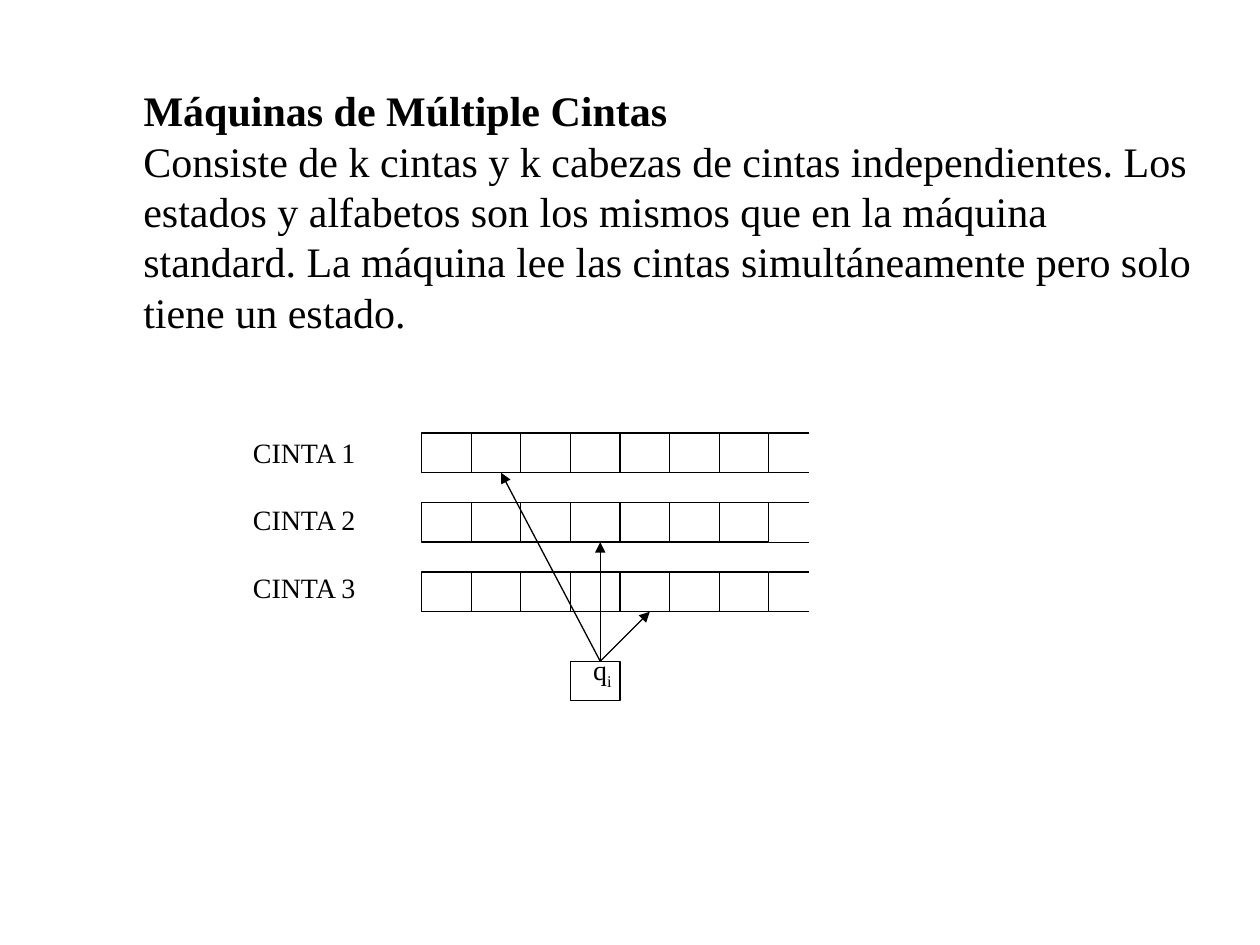
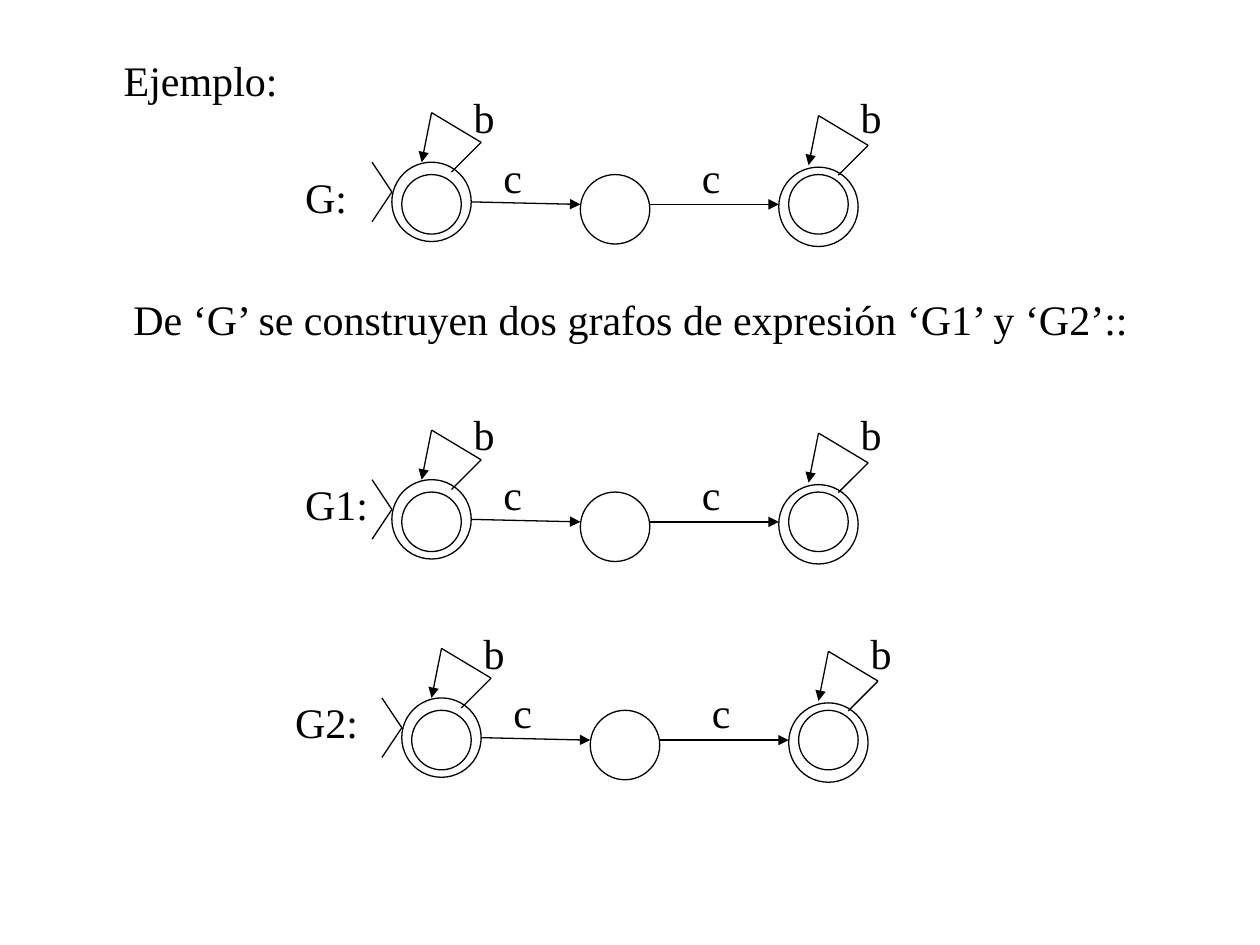
from itertools import pairwise
from lxml import etree
from pptx import Presentation
from pptx.dml.color import RGBColor
from pptx.enum.shapes import MSO_CONNECTOR, MSO_SHAPE
from pptx.enum.text import MSO_ANCHOR, MSO_AUTO_SIZE, PP_ALIGN
from pptx.oxml.ns import qn
from pptx.util import Cm, Pt

RECT, OVAL = MSO_SHAPE.RECTANGLE, MSO_SHAPE.OVAL
LINE = MSO_CONNECTOR.STRAIGHT
TOP, LEFT = MSO_ANCHOR.TOP, PP_ALIGN.LEFT
FIXED, GROW = MSO_AUTO_SIZE.NONE, MSO_AUTO_SIZE.SHAPE_TO_FIT_TEXT

COLORS = {"ink": "000000", "paper": "FFFFFF"}
FONT = "Times New Roman"
BIG, SMALL = 24, 16
LEAD = 1.2  # line height over text size

# Content; all lengths are in cm
HEAD = "Máquinas de Múltiple Cintas"
BODY = ("Consiste de k cintas y k cabezas de cintas independientes. Los "
        "estados y alfabetos son los mismos que en la máquina standard. "
        "La máquina lee las cintas simultáneamente pero solo tiene un estado.")
TAPES = [("CINTA 1", 10.1), ("CINTA 2", 12.1), ("CINTA 3", 13.1)]  # name, head x
CELLS, CELL_W, CELL_H = 7, 1.0, 0.8
TAPE_X, TAPE_Y, PITCH, TAIL = 8.5, 8.73, 1.4, 0.8
STATE_X, STATE_Y, HEAD_X = 11.5, 13.33, 12.1

EXAMPLE = "Ejemplo:"
CLAIM = "De ‘G’ se construyen dos grafos de expresión ‘G1’ y ‘G2’::"
# name, label box (x, y, width), corner of the first state
GRAPHS = [
    ("G:", (5.9, 3.33, 1.35), (7.9, 3.27)),
    ("G1:", (5.9, 9.53, 1.78), (7.9, 9.67)),
    ("G2:", (5.7, 13.92, 1.78), (8.1, 14.07)),
]
# Parts of a graph, measured from its first state
STATES = [(0, 0, 1.6), (0.2, 0.25, 1.2), (3.8, 0.25, 1.4),
          (7.8, 0.1, 1.6), (8, 0.25, 1.2)]
LOOP = [(1.2, 0.2), (1.8, -0.4), (0.8, -1), (0.6, 0)]
LOOPS_AT = [(0, 0), (7.8, 0.06)]
MOVES = [((1.6, 0.8), (3.8, 0.85)), ((5.2, 0.85), (7.8, 0.85))]
FORK = [(-0.4, 0), (0, 0.6), (-0.4, 1.2)]
MARKS = [("b", 1.4, -1.55), ("c", 2, -0.35), ("c", 6, -0.35), ("b", 9.2, -1.55)]


def shift(spot, by):
    return spot[0] + by[0], spot[1] + by[1]


def add_run(para, text, size, bold=False):
    para.alignment = LEFT
    para.line_spacing = Pt(size * LEAD)
    run = para.add_run()
    run.text = text
    font = run.font
    font.name, font.size, font.bold = FONT, Pt(size), bold
    font.color.rgb = RGBColor.from_string(COLORS["ink"])
    return run


def add_text(shapes, lines, x, y, w, h=1.27, size=BIG, wrap=False, gap=0):
    box = shapes.add_textbox(Cm(x), Cm(y), Cm(w), Cm(h))
    frame = box.text_frame
    frame.word_wrap, frame.auto_size = wrap, GROW
    for i, text in enumerate(lines):
        para = frame.add_paragraph() if i else frame.paragraphs[0]
        para.space_before = Pt(gap if i else 0)
        add_run(para, text, size)
    return frame


def set_line(part):
    part.line.color.rgb = RGBColor.from_string(COLORS["ink"])
    part.line.width = Pt(0.75)


def add_outline(shapes, kind, x, y, w, h):
    part = shapes.add_shape(kind, Cm(x), Cm(y), Cm(w), Cm(h))
    part.fill.background()
    part.shadow.inherit = False
    set_line(part)


def add_line(shapes, start, end, arrow=False):
    part = shapes.add_connector(LINE, *map(Cm, start + end))
    set_line(part)
    if arrow:
        etree.SubElement(part.line._get_or_add_ln(), qn("a:tailEnd"), type="triangle")
    etree.SubElement(part._element.spPr, qn("a:effectLst"))


def add_slide(deck, text, x, y, w, bold=False):
    slide = deck.slides.add_slide(deck.slide_layouts[5])
    fill = slide.background.fill
    fill.solid()
    fill.fore_color.rgb = RGBColor.from_string(COLORS["paper"])
    title = slide.shapes.title
    title.left, title.top, title.width, title.height = map(Cm, (x, y, w, 1.27))
    frame = title.text_frame
    frame.vertical_anchor, frame.auto_size = TOP, FIXED
    para = frame.paragraphs[0]
    para.space_before = Pt(0)
    add_run(para, text, BIG, bold)
    return slide.shapes


def add_tape(shapes, y):
    tape = shapes.add_group_shape().shapes
    for i in range(CELLS):
        add_outline(tape, RECT, TAPE_X + i * CELL_W, y, CELL_W, CELL_H)
    end = TAPE_X + CELLS * CELL_W
    for edge in (y, y + CELL_H):
        add_line(tape, (end, edge), (end + TAIL, edge))


def add_graph(shapes, at):
    graph = shapes.add_group_shape().shapes
    for x, y, size in STATES:
        add_outline(graph, OVAL, *shift((x, y), at), size, size)
    for by in LOOPS_AT:
        spots = [shift(shift(spot, by), at) for spot in LOOP]
        for start, end in pairwise(spots):
            add_line(graph, start, end, arrow=end == spots[-1])
    for start, end in pairwise(FORK):
        add_line(graph, shift(start, at), shift(end, at))
    for start, end in MOVES:
        add_line(graph, shift(start, at), shift(end, at), arrow=True)
    for text, x, y in MARKS:
        add_text(graph, [text], *shift((x, y), at), 0.9)


def tape_slide(deck):
    shapes = add_slide(deck, HEAD, 2.64, 1.57, 21.87, bold=True)
    add_text(shapes, [BODY], 2.64, 2.6, 21.87, 4.3, wrap=True)
    tops = [TAPE_Y + i * PITCH for i in range(len(TAPES))]
    for y in tops:
        add_tape(shapes, y)
    add_text(shapes, [name for name, _ in TAPES], 4.85, 8.66, 2.64, 3.66,
             SMALL, gap=SMALL * LEAD)
    add_outline(shapes, RECT, STATE_X, STATE_Y, CELL_W, CELL_H)
    for (_, x), y in zip(TAPES, tops):
        add_line(shapes, (HEAD_X, STATE_Y), (x, y + CELL_H), arrow=True)
    label = add_text(shapes, ["q"], 11.71, 13.13, 1.2, 1.04, SMALL, wrap=True)
    sub = add_run(label.paragraphs[0], "i", SMALL)
    sub.font._element.set("baseline", "-25000")


def graph_slide(deck):
    shapes = add_slide(deck, EXAMPLE, 2.24, 0.98, 3.81)
    for name, (x, y, w), at in GRAPHS:
        add_graph(shapes, at)
        add_text(shapes, [name], x, y, w)
    add_text(shapes, [CLAIM], 2.44, 5.79, 20.68)


def main():
    deck = Presentation()
    deck.slide_width, deck.slide_height = Cm(25.4), Cm(19.05)
    tape_slide(deck)
    graph_slide(deck)
    deck.save("out.pptx")


if __name__ == "__main__":
    main()
